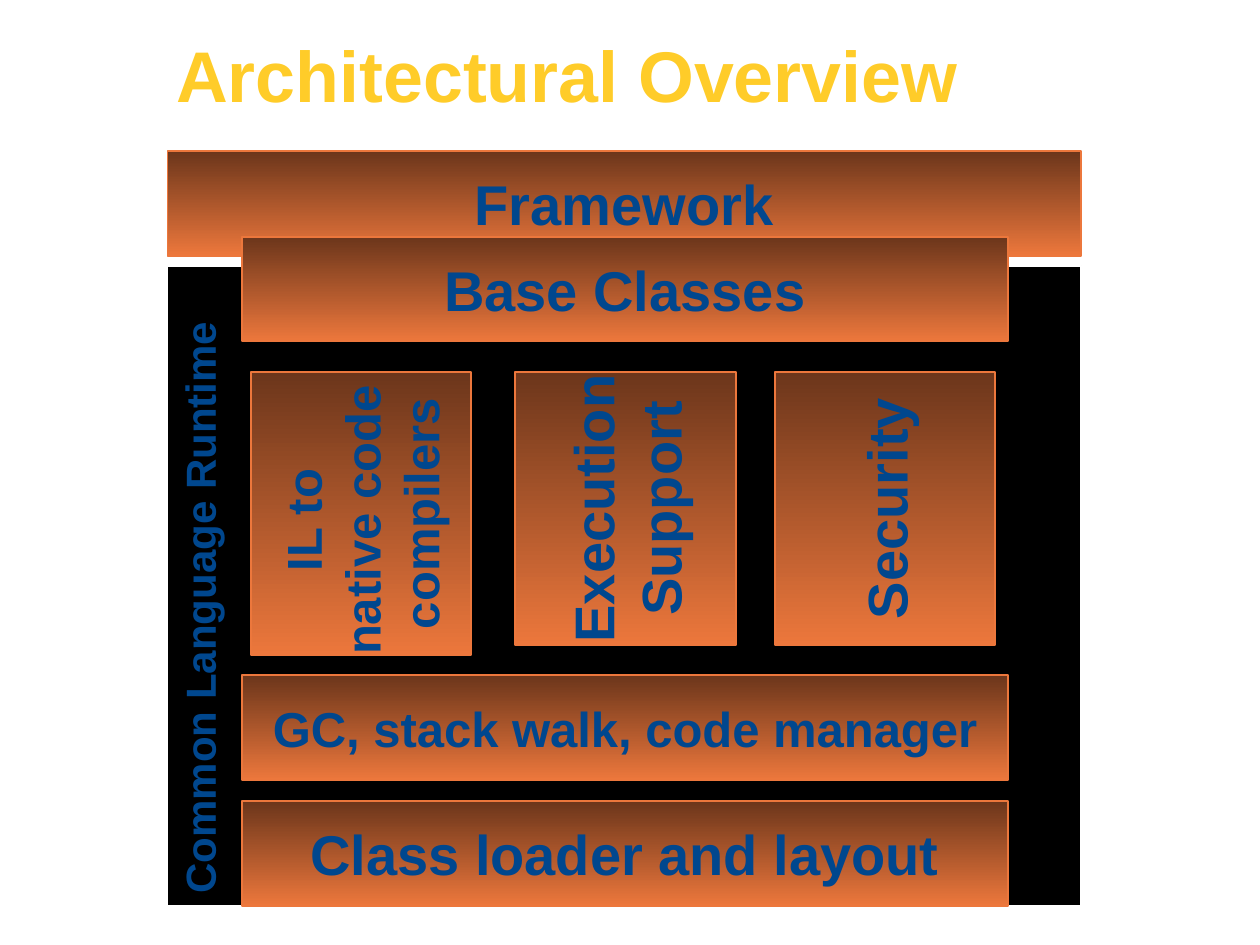
"""Build the Architectural Overview slide of stacked runtime layers."""
from dataclasses import dataclass

from lxml.etree import SubElement
from pptx import Presentation
from pptx.dml.color import RGBColor
from pptx.enum.shapes import MSO_SHAPE
from pptx.enum.text import MSO_ANCHOR, PP_ALIGN
from pptx.oxml import parse_xml
from pptx.oxml.ns import nsdecls, qn
from pptx.util import Inches, Pt


@dataclass(frozen=True)
class Theme:
    font: str = "Arial"
    title: RGBColor = RGBColor(0xFF, 0xCC, 0x29)
    label: RGBColor = RGBColor(0x00, 0x47, 0x8E)
    dark: RGBColor = RGBColor(0x6C, 0x36, 0x1B)
    light: RGBColor = RGBColor(0xEC, 0x77, 0x3C)
    black: RGBColor = RGBColor(0, 0, 0)
    white: RGBColor = RGBColor(0xFF, 0xFF, 0xFF)
    title_size: int = 41
    large: int = 32
    medium: int = 28
    small: int = 24


THEME = Theme()


def write(frame, text, size, color, align, **frame_format):
    for key, value in frame_format.items():
        setattr(frame, key, value)
    paragraph = frame.paragraphs[0]
    paragraph.text = text
    paragraph.alignment = align
    font_format = {"name": THEME.font, "size": Pt(size), "bold": True}
    for run in paragraph.runs:
        for key, value in font_format.items():
            setattr(run.font, key, value)
        run.font.color.rgb = color
    return paragraph


def add_block(left, top, width, height, rotation, line_color):
    block = slide.shapes.add_shape(
        MSO_SHAPE.RECTANGLE, Inches(left), Inches(top), Inches(width), Inches(height))
    block.rotation = rotation
    block.shadow.inherit = False
    block.line.color.rgb = line_color
    block.line.width = Pt(1)
    return block


presentation = Presentation()
presentation.slide_width, presentation.slide_height = Inches(10), Inches(7.5)
slide = presentation.slides.add_slide(presentation.slide_layouts[6])

title = slide.shapes.add_textbox(Inches(1.3), Inches(0.27), Inches(7.19), Inches(0.72))
heading = write(title.text_frame, "Architectural Overview", THEME.title_size,
                THEME.title, PP_ALIGN.LEFT, word_wrap=True)
heading.line_spacing = 0.9
heading_props = heading.runs[0].font._element
heading_props.find(qn("a:solidFill")).addnext(parse_xml(
    f'<a:effectLst {nsdecls("a")}><a:outerShdw dist="25400" dir="2700000">'
    f'<a:srgbClr val="{THEME.black}"/></a:outerShdw></a:effectLst>'))

runtime = add_block(1.33, 2.11, 7.25, 5.08, 180, THEME.white)
runtime.fill.solid()
runtime.fill.fore_color.rgb = THEME.black
write(runtime.text_frame, "Common Language Runtime", THEME.small, THEME.label,
      PP_ALIGN.CENTER, word_wrap=False, vertical_anchor=MSO_ANCHOR.TOP,
      margin_left=Inches(0.05), margin_right=Inches(0.05),
      margin_top=Inches(0.1), margin_bottom=Inches(0.1))
runtime.text_frame._txBody.bodyPr.set("vert", "eaVert")

layers = [
    ("Framework", 1.33, 1.2, 7.25, 0.83, 0, THEME.large),
    ("Class loader and layout", 1.92, 6.36, 6.08, 0.83, 0, THEME.large),
    ("GC, stack walk, code manager", 1.92, 5.36, 6.08, 0.83, 0, THEME.medium),
    ("IL to \vnative code \vcompilers", 1.74, 3.2, 2.25, 1.75, 270, THEME.medium),
    ("Security", 5.94, 3.16, 2.17, 1.75, 270, THEME.large),
    ("Execution\vSupport", 3.88, 3.16, 2.17, 1.75, 270, THEME.large),
    ("Base Classes", 1.92, 1.88, 6.08, 0.83, 0, THEME.large),
]
for name, left, top, width, height, rotation, size in layers:
    layer = add_block(left, top, width, height, rotation, THEME.light)
    layer.fill.gradient()
    layer.fill.gradient_angle = 270
    for stop, color in zip(layer.fill.gradient_stops, (THEME.dark, THEME.light)):
        stop.color.rgb = color
    layer._element.spPr.find(qn("a:gradFill")).set("rotWithShape", "0")
    write(layer.text_frame, name, size, THEME.label, PP_ALIGN.CENTER,
          word_wrap=False, vertical_anchor=MSO_ANCHOR.MIDDLE)

presentation.save("out.pptx")
